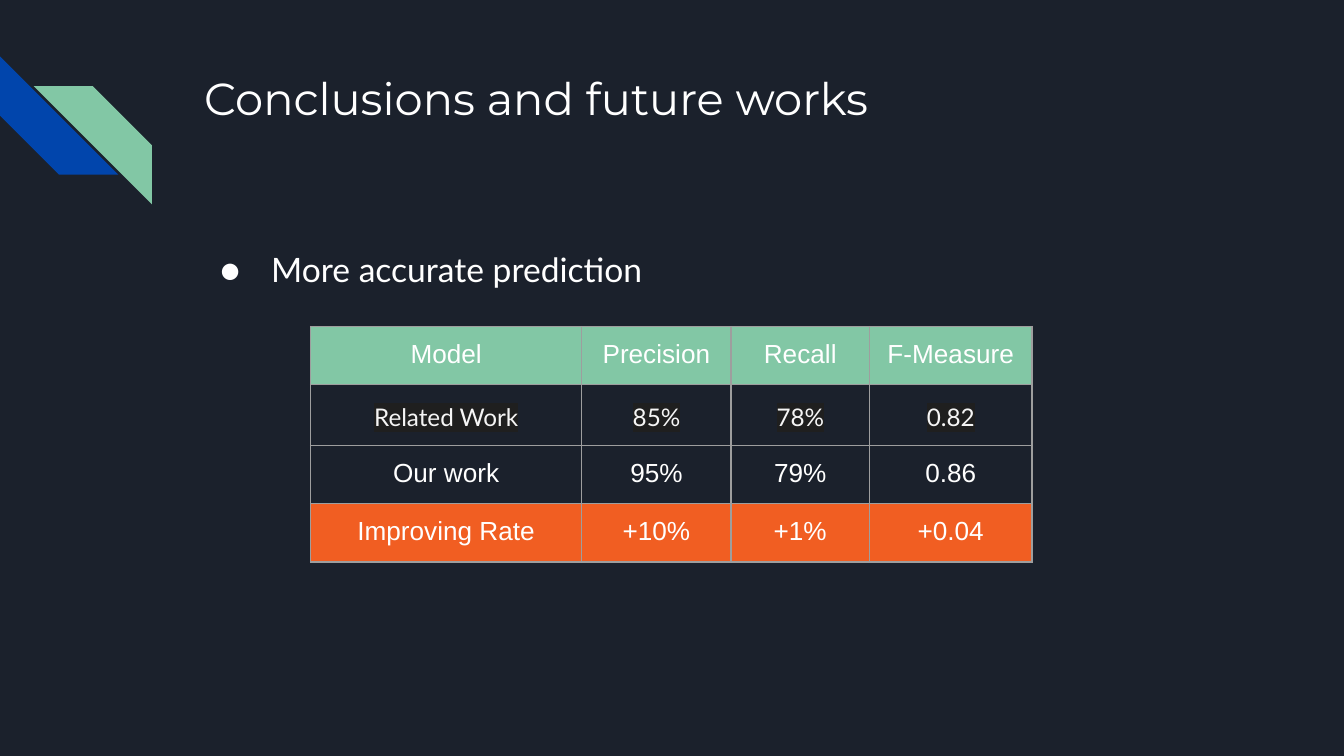
"""Build the conclusions slide with its model comparison table."""
import dataclasses

import lxml.etree
import pptx
import pptx.dml.color
import pptx.enum.shapes
import pptx.enum.text
import pptx.oxml
import pptx.oxml.ns
import pptx.util

Inches = pptx.util.Inches
qn = pptx.oxml.ns.qn


@dataclasses.dataclass(frozen=True)
class TextStyle:
    font: str
    size: int
    color: str
    highlight: str = ""
    line_spacing: float = 1.0


@dataclasses.dataclass(frozen=True)
class Theme:
    background: str = "1B212C"
    blue: str = "0145AC"
    green: str = "82C7A5"
    orange: str = "F15E22"
    border: str = "9E9E9E"
    border_width: float = 0.75
    inset: float = 0.1
    title: TextStyle = TextStyle("Montserrat", 24, "FFFFFF")
    body: TextStyle = TextStyle("Lato", 18, "FFFFFF", line_spacing=1.15)
    cell: TextStyle = TextStyle("Arial", 14, "FFFFFF")
    related: TextStyle = TextStyle("Lato", 13, "F5F5F5", "1F1F1F", 1.15)


def rgb(color):
    return pptx.dml.color.RGBColor.from_string(color)


def add_color(parent, color):
    lxml.etree.SubElement(parent, qn("a:srgbClr"), val=color)


class SlideBuilder:
    def __init__(self, slide, theme):
        self.slide = slide
        self.theme = theme
        slide.background.fill.solid()
        slide.background.fill.fore_color.rgb = rgb(theme.background)

    def set_insets(self, holder):
        for side in ("left", "top", "right", "bottom"):
            setattr(holder, f"margin_{side}", Inches(self.theme.inset))

    def add_run(self, paragraph, text, style):
        paragraph.line_spacing = style.line_spacing
        run = paragraph.add_run()
        run.text = text
        run.font.size = pptx.util.Pt(style.size)
        run.font.color.rgb = rgb(style.color)
        run.font.name = style.font
        if style.highlight:
            highlight = pptx.oxml.parse_xml(
                f'<a:highlight {pptx.oxml.ns.nsdecls("a")}/>')
            add_color(highlight, style.highlight)
            run._r.rPr.find(qn("a:latin")).addprevious(highlight)

    def add_stripe(self, left, top, size, rotation, color):
        shape = self.slide.shapes.add_shape(
            pptx.enum.shapes.MSO_SHAPE.DIAGONAL_STRIPE,
            Inches(left), Inches(top), Inches(size), Inches(size))
        shape.adjustments[0] = 0.5
        shape.rotation = rotation
        shape.shadow.inherit = False
        shape.fill.solid()
        shape.fill.fore_color.rgb = rgb(color)
        shape.line.fill.background()

    def add_text(self, left, top, width, height, text, style, bullet=""):
        frame = self.slide.shapes.add_textbox(
            Inches(left), Inches(top), Inches(width), Inches(height)).text_frame
        frame.word_wrap = True
        self.set_insets(frame)
        paragraph = frame.paragraphs[0]
        if bullet:
            properties = paragraph._p.get_or_add_pPr()
            properties.set("marL", str(Inches(0.5)))
            properties.set("indent", str(Inches(-0.38)))
            add_color(lxml.etree.SubElement(properties, qn("a:buClr")), style.color)
            lxml.etree.SubElement(properties, qn("a:buFont"), typeface=style.font)
            lxml.etree.SubElement(properties, qn("a:buChar"), char=bullet)
        self.add_run(paragraph, text, style)

    def add_borders(self, cell):
        properties = cell._tc.get_or_add_tcPr()
        for side in ("lnL", "lnR", "lnT", "lnB"):
            line = lxml.etree.SubElement(
                properties, qn(f"a:{side}"),
                w=str(pptx.util.Pt(self.theme.border_width)))
            add_color(lxml.etree.SubElement(line, qn("a:solidFill")), self.theme.border)

    def add_cell(self, cell, text, style, fill):
        self.set_insets(cell)
        self.add_borders(cell)
        if fill:
            cell.fill.solid()
            cell.fill.fore_color.rgb = rgb(fill)
        else:
            cell.fill.background()
        paragraph = cell.text_frame.paragraphs[0]
        paragraph.alignment = pptx.enum.text.PP_ALIGN.CENTER
        self.add_run(paragraph, text, style)

    def add_table(self, left, top, widths, rows):
        table = self.slide.shapes.add_table(
            len(rows), len(widths), Inches(left), Inches(top),
            Inches(sum(widths)), Inches(sum(row[0] for row in rows))).table
        table.first_row = table.horz_banding = False
        for column, width in zip(table.columns, widths):
            column.width = Inches(width)
        for row, (height, style, fill, texts) in zip(table.rows, rows):
            row.height = Inches(height)
            for cell, text in zip(row.cells, texts):
                self.add_cell(cell, text, style, fill)


def main():
    theme = Theme()
    presentation = pptx.Presentation()
    presentation.slide_width = Inches(10)
    presentation.slide_height = presentation.slide_width * 9 // 16
    slide = presentation.slides.add_slide(presentation.slide_layouts[6])
    builder = SlideBuilder(slide, theme)
    builder.add_stripe(0, 0.42, 0.88, 270, theme.blue)
    builder.add_stripe(0.25, 0.64, 0.88, 90, theme.green)
    builder.add_text(1.42, 0.43, 7.7, 1, "Conclusions and future works", theme.title)
    builder.add_text(1.42, 1.71, 7.7, 3.18, "More accurate prediction", theme.body, "●")
    builder.add_table(2.31, 2.43, (2.02, 1.11, 1.03, 1.21), (
        (0.11, theme.cell, theme.green, ("Model", "Precision", "Recall", "F-Measure")),
        (0.43, theme.related, None, ("Related Work", "85%", "78%", "0.82")),
        (0.43, theme.cell, None, ("Our work", "95%", "79%", "0.86")),
        (0.43, theme.cell, theme.orange, ("Improving Rate", "+10%", "+1%", "+0.04")),
    ))
    presentation.save("out.pptx")


if __name__ == "__main__":
    main()
